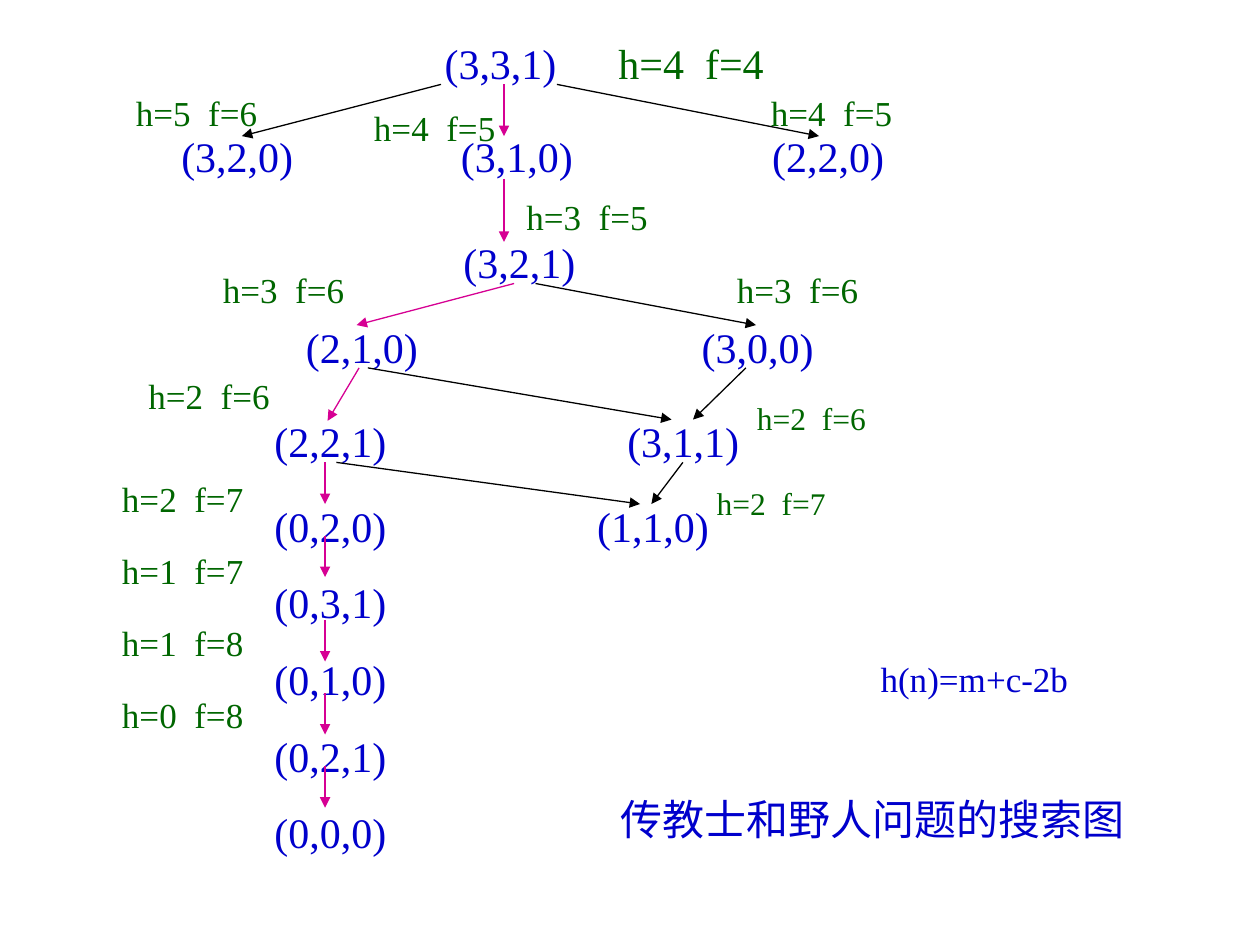
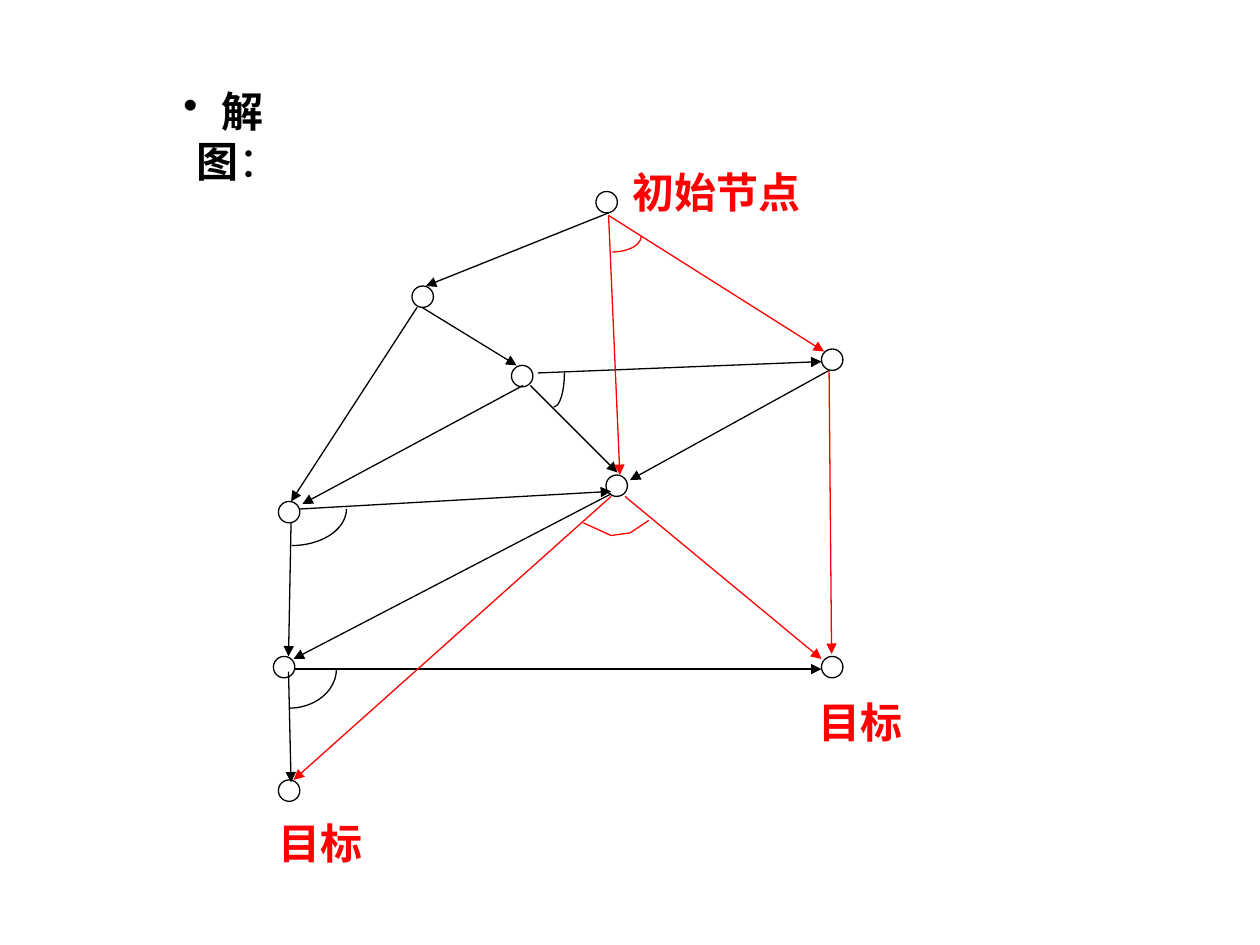
"""Build two slides: a heuristic search graph and an AND/OR solution graph."""
from pptx import Presentation
from pptx import util as u
from pptx.dml.color import RGBColor
from pptx.enum import shapes, text
from pptx.oxml import ns, xmlchemy

SCALE = 9144
BLUE, GREEN, PINK = "0000CC", "006600", "D60093"
RED, BLACK, WHITE = "FF0000", "000000", "FFFFFF"
FONT = "Times New Roman"


def px(length):
    return u.Emu(length * SCALE)


def color(value):
    return RGBColor.from_string(value)


def add_xml(parent, tag, **attributes):
    element = xmlchemy.OxmlElement(tag)
    for name, value in attributes.items():
        element.set(name, str(value))
    parent.append(element)
    return element


class Sketch:
    def __init__(self, deck):
        self.deck = deck
        self.slide = None

    def new_slide(self):
        self.slide = self.deck.slides.add_slide(self.deck.slide_layouts[6])
        fill = self.slide.background.fill
        fill.solid()
        fill.fore_color.rgb = color(WHITE)

    def label(self, lines, left, top, width, height, size, hue,
              bold=False, centered=False, spacing=None):
        box = self.slide.shapes.add_textbox(px(left), px(top), px(width), px(height))
        frame = box.text_frame
        frame.word_wrap = True
        frame.text = lines
        if centered:
            frame.vertical_anchor = text.MSO_ANCHOR.MIDDLE
        for index, para in enumerate(frame.paragraphs):
            if centered:
                para.alignment = text.PP_ALIGN.CENTER
            if index:
                para.space_before = u.Pt(size * 0.625)
            if spacing:
                para.line_spacing = spacing
            for span in para.runs:
                self.style(span, size, hue, bold)
        return box

    def style(self, span, size, hue, bold):
        span.font.name = FONT
        span.font.size = u.Pt(size)
        span.font.bold = bold
        span.font.color.rgb = color(hue)

    def state(self, name, left, top, height=50):
        self.label(name, left, top, 115, height, 24, BLUE)

    def cost(self, values, left, top, size=20, height=44, spacing=None):
        self.label(values, left, top, 154, height, size, GREEN, spacing=spacing)

    def outline(self, shape, hue):
        shape.shadow.inherit = False
        shape.fill.background()
        shape.line.color.rgb = color(hue)
        shape.line.width = u.Pt(0.75)

    def circle(self, left, top):
        shape = self.slide.shapes.add_shape(
            shapes.MSO_SHAPE.OVAL, px(left), px(top), px(17), px(17))
        self.outline(shape, BLACK)

    def arc(self, left, top, width, height, hue):
        shape = self.slide.shapes.add_shape(
            shapes.MSO_SHAPE.ARC, px(left), px(top), px(width), px(height))
        shape.adjustments[0] = 0
        shape.adjustments[1] = 54
        self.outline(shape, hue)

    def polyline(self, points, hue):
        builder = self.slide.shapes.build_freeform(*points[0], scale=SCALE)
        builder.add_line_segments(points[1:], close=False)
        self.outline(builder.convert_to_shape(), hue)

    def arrow(self, x1, y1, x2, y2, hue=BLACK):
        line = self.slide.shapes.add_connector(
            shapes.MSO_CONNECTOR.STRAIGHT, px(x1), px(y1), px(x2), px(y2))
        line.line.color.rgb = color(hue)
        line.line.width = u.Pt(0.75)
        properties = line.element.spPr
        add_xml(properties.find(ns.qn("a:ln")), "a:tailEnd", type="triangle")
        add_xml(properties, "a:effectLst")

    def bullet(self, lead, strong, rest, left, top, width, height):
        box = self.label(lead, left, top, width, height, 24, BLACK, centered=True)
        para = box.text_frame.paragraphs[0]
        properties = para._p.get_or_add_pPr()
        properties.set("marL", str(px(23)))
        properties.set("indent", str(px(-23)))
        hue = add_xml(properties, "a:buClr")
        add_xml(hue, "a:srgbClr", val=BLACK)
        add_xml(properties, "a:buChar", char="•")
        for words, bold in ((strong, True), (rest, False)):
            span = para.add_run()
            span.text = words
            self.style(span, 24, BLACK, bold)


def search_graph(sketch):
    sketch.new_slide()
    for name, left, top in (
        ("(3,3,1)", 343, 25),
        ("(3,2,0)", 134, 99), ("(3,1,0)", 356, 99), ("(2,2,0)", 603, 99),
        ("(3,2,1)", 358, 183),
        ("(2,1,0)", 233, 250), ("(3,0,0)", 547, 250),
        ("(2,2,1)", 208, 325), ("(3,1,1)", 488, 325),
        ("(1,1,0)", 464, 392),
    ):
        sketch.state(name, left, top)
    sketch.state("(0,2,0)\n(0,3,1)\n(0,1,0)\n(0,2,1)\n(0,0,0)", 208, 392, 294)

    for top in (367, 425, 492, 550, 608):
        sketch.arrow(258, top, 258, top + 33, PINK)
    for ends in ((400, 67, 400, 108), (400, 142, 400, 192),
                 (408, 225, 283, 258), (285, 292, 260, 334)):
        sketch.arrow(*ends, PINK)
    for ends in ((350, 67, 192, 108), (442, 67, 650, 108),
                 (425, 225, 600, 258), (292, 292, 533, 333),
                 (592, 292, 550, 333), (542, 367, 517, 400),
                 (267, 367, 508, 400)):
        sketch.arrow(*ends)

    sketch.cost("h=4  f=4", 481, 25, 24, 50)
    for values, left, top in (
        ("h=5  f=6", 98, 68), ("h=4  f=5", 287, 80), ("h=4  f=5", 602, 68),
        ("h=3  f=5", 408, 150),
        ("h=3  f=6", 167, 208), ("h=3  f=6", 575, 208),
        ("h=2  f=6", 108, 292),
    ):
        sketch.cost(values, left, top)
    sketch.cost("h=2  f=6", 591, 312, 18, 40)
    sketch.cost("h=2  f=7", 559, 379, 18, 40)
    sketch.cost("h=2  f=7\nh=1  f=7\nh=1  f=8\nh=0  f=8", 87, 367,
                height=222, spacing=1.2)

    sketch.label("传教士和野人问题的搜索图", 483, 625, 442, 50, 24, BLUE)
    sketch.label("h(n)=m+c-2b", 689, 517, 189, 44, 20, BLUE)


def solution_graph(sketch):
    sketch.new_slide()
    for corner in ((473, 152), (327, 227), (406, 290), (481, 377), (652, 277),
                   (221, 398), (217, 521), (652, 521), (221, 619)):
        sketch.circle(*corner)

    for ends in ((483, 169, 338, 227), (331, 244, 231, 398),
                 (335, 244, 410, 290), (421, 306, 490, 375),
                 (427, 296, 652, 287), (238, 404, 485, 390),
                 (231, 415, 229, 521), (658, 294, 500, 381),
                 (485, 392, 233, 523), (233, 531, 652, 531),
                 (229, 533, 231, 621), (415, 306, 240, 400)):
        sketch.arrow(*ends)
    for ends in ((483, 171, 492, 377), (483, 171, 654, 279),
                 (658, 294, 660, 519), (485, 394, 233, 619),
                 (496, 394, 652, 523)):
        sketch.arrow(*ends, RED)

    sketch.arc(463, 175, 46, 25, RED)
    for bounds in ((431, 269, 17, 54), (188, 375, 87, 58), (192, 500, 75, 62)):
        sketch.arc(*bounds, BLACK)
    sketch.polyline([(463, 415), (485, 425), (500, 423), (515, 413)], RED)

    for words, left, top, width in (("目标", 204, 644, 100), ("目标", 633, 548, 100),
                                    ("初始节点", 483, 127, 171)):
        sketch.label(words, left, top, width, 50, 24, RED, bold=True, centered=True)
    sketch.bullet(" ", "解图", "：", 121, 62, 113, 91)


def main():
    deck = Presentation()
    deck.slide_width, deck.slide_height = px(1000), px(750)
    sketch = Sketch(deck)
    search_graph(sketch)
    solution_graph(sketch)
    deck.save("out.pptx")


if __name__ == "__main__":
    main()
